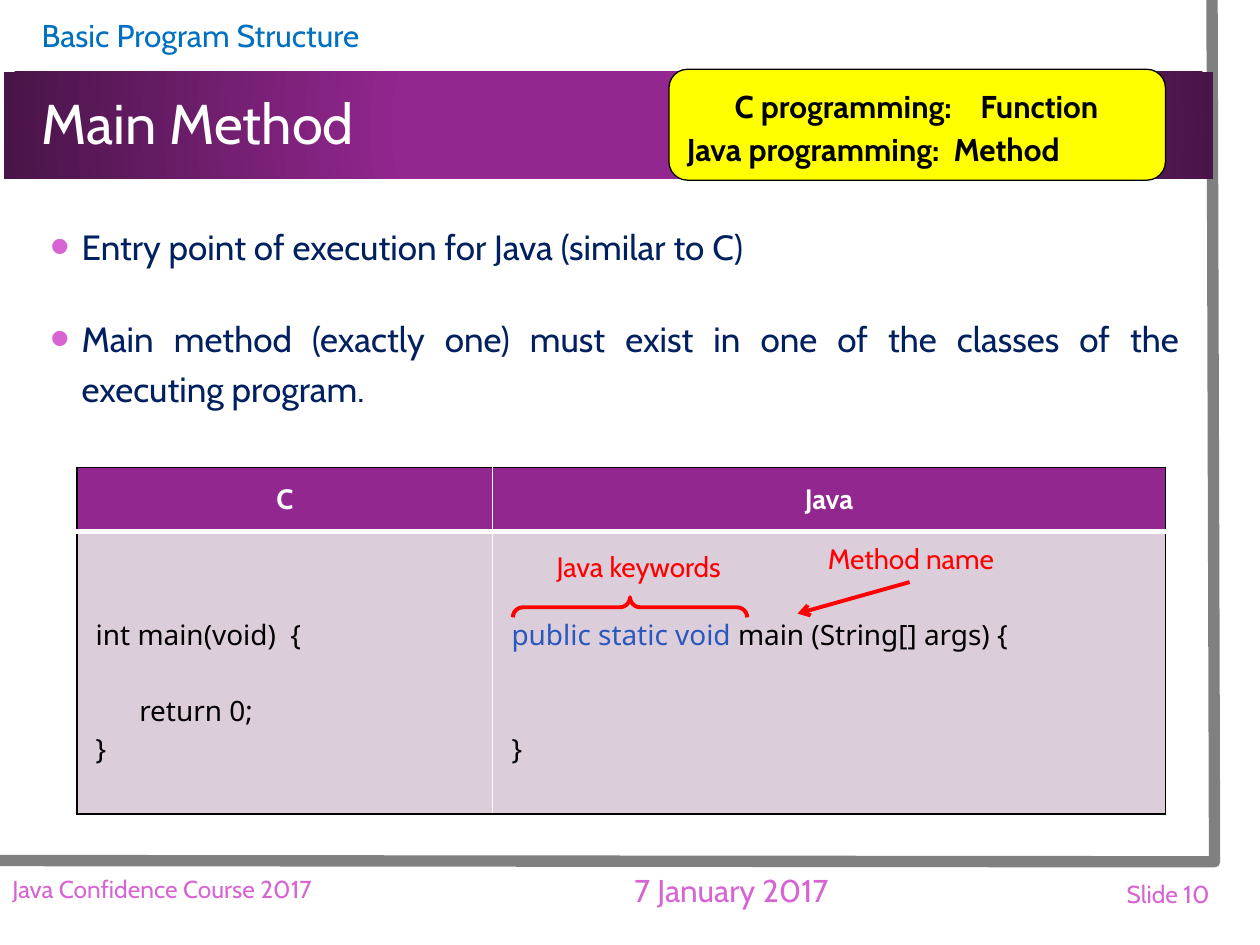
from pptx import Presentation
from pptx.dml.color import RGBColor
from pptx.enum.shapes import MSO_CONNECTOR as Connector, MSO_SHAPE as Shape
from pptx.enum.text import MSO_ANCHOR as Anchor, PP_ALIGN as Align
from pptx.oxml import parse_xml
from pptx.oxml.ns import nsdecls
from pptx.util import Inches, Pt

WHITE = RGBColor(0xFF, 0xFF, 0xFF)
BLACK = RGBColor(0, 0, 0)
GRAY = RGBColor(0x80, 0x80, 0x80)
PURPLE = RGBColor(0x92, 0x27, 0x8F)
DARK_PURPLE = RGBColor(0x49, 0x14, 0x47)
PINK = RGBColor(0xD6, 0x65, 0xD3)
LILAC = RGBColor(0xDC, 0xCD, 0xDB)
SKY = RGBColor(0x00, 0x70, 0xC0)
NAVY = RGBColor(0x00, 0x20, 0x60)
KEYWORD = RGBColor(0x29, 0x58, 0xBE)
RED = RGBColor(0xFF, 0, 0)
YELLOW = RGBColor(0xFF, 0xFF, 0)

HEADING_FONT = "Cabin"
CODE_FONT = "Noto Sans"
CODE_LINE = 21.8  # height of one 16-point code line, in points


def xml(markup):
    tag, rest = markup[1:].split(">", 1) if markup.endswith(f"</{markup[1:].split()[0].split('>')[0]}>") \
        else (markup[1:-2], None)
    opening = f"<{tag} {nsdecls('a')}"
    return parse_xml(f"{opening}/>" if rest is None else f"{opening}>{rest}")


def style(font, size, color, name=HEADING_FONT, bold=False):
    font.size, font.name, font.bold = Pt(size), name, bold
    font.color.rgb = color


def add_text(page, at, text, size, color, align=Align.LEFT, anchor=Anchor.MIDDLE, left=0.1):
    box = page.shapes.add_textbox(*map(Inches, at))
    frame = box.text_frame
    frame.word_wrap = True
    frame.vertical_anchor = anchor
    frame.margin_left = Inches(left)
    frame.text = text
    for para in frame.paragraphs:
        para.alignment = align
        for span in para.runs:
            style(span.font, size, color)
    return frame


def add_shape(page, kind, at, fill=None, line=None, width=1):
    shape = page.shapes.add_shape(kind, *map(Inches, at))
    shape.shadow.inherit = False
    if fill is None:
        shape.fill.background()
    else:
        shape.fill.solid()
        shape.fill.fore_color.rgb = fill
    if line is None:
        shape.line.fill.background()
    else:
        shape.line.color.rgb = line
        shape.line.width = Pt(width)
    return shape


def add_frame(page):
    add_shape(page, Shape.RECTANGLE, (0.03, 0, 9.83, 7.27), WHITE)
    builder = page.shapes.build_freeform(Inches(9.62), 0)
    builder.add_line_segments([(Inches(9.64), Inches(6.84)), (Inches(-0.02), Inches(6.83))], close=False)
    border = builder.convert_to_shape()
    border.shadow.inherit = False
    border.fill.background()
    border.line.color.rgb = GRAY
    border.line.width = Pt(6.5)


def add_band(page):
    band = add_shape(page, Shape.RECTANGLE, (0.03, 0.57, 9.6, 0.85), PURPLE)
    band.fill.gradient()
    for stop, position, color in zip(band.fill.gradient_stops, (0.34, 1), (PURPLE, DARK_PURPLE)):
        stop.position = position
        stop.color.rgb = color
    # Make the gradient radiate from the centre
    gradient = band.element.spPr.find(".//{*}gradFill")
    gradient.replace(gradient.find("{*}lin"), xml(
        '<a:path path="circle"><a:fillToRect l="50000" t="50000" r="50000" b="50000"/></a:path>'))


def add_bullets(page, lines):
    frame = add_text(page, (0.3, 1.67, 9.16, 5.02), "\n".join(lines), 20, NAVY,
                     Align.JUSTIFY, Anchor.TOP)
    for index, para in enumerate(frame.paragraphs):
        props = para._p.get_or_add_pPr()
        props.set("marL", str(Inches(0.25)))
        props.set("indent", str(Inches(-0.25)))
        props.append(xml(f'<a:buClr><a:srgbClr val="{PINK}"/></a:buClr>'))
        props.append(xml('<a:buSzPct val="160000"/>'))
        props.append(xml('<a:buFont typeface="Arial"/>'))
        props.append(xml('<a:buChar char="•"/>'))
        para.line_spacing = 1.2
        para.space_before = Pt(24 if index else 0)


def set_borders(cell, row, column):
    middle_rule = 3 if row == 0 else 1
    sides = {
        "L": (WHITE if column else BLACK, 1),
        "R": (BLACK if column else WHITE, 1),
        "T": (WHITE if row else BLACK, 1),
        "B": (BLACK if row else WHITE, middle_rule),
    }
    props = cell._tc.get_or_add_tcPr()
    for side, (color, width) in sides.items():
        props.append(xml(f'<a:ln{side} w="{Pt(width)}"><a:solidFill>'
                         f'<a:srgbClr val="{color}"/></a:solidFill></a:ln{side}>'))


def fill_code(cell, lines):
    """Each line is (blank lines above, [(text, color), ...])."""
    frame = cell.text_frame
    cell.margin_left = cell.margin_right = cell.margin_bottom = Inches(0.15)
    cell.margin_top = Inches(0.15 + CODE_LINE / 72)
    for index, (gap, parts) in enumerate(lines):
        para = frame.add_paragraph() if index else frame.paragraphs[0]
        para.space_before = Pt(gap * CODE_LINE)
        for text, color in parts:
            span = para.add_run()
            span.text = text
            style(span.font, 16, color, CODE_FONT)


def add_comparison(page):
    table = page.shapes.add_table(2, 2, *map(Inches, (0.61, 3.71, 8.64, 2.75))).table
    for column, width in zip(table.columns, (3.3, 5.34)):
        column.width = Inches(width)
    for row, height in zip(table.rows, (0.51, 2.24)):
        row.height = Inches(height)
    code = (
        [(0, [("int main(void)  {", BLACK)]), (1, [("      return 0;", BLACK)]), (0, [("}", BLACK)])],
        [(0, [("public static void ", KEYWORD), ("main (String[] args) {", BLACK)]),
         (2, [("}", BLACK)])],
    )
    for column, language in enumerate(("C", "Java")):
        header, body = table.cell(0, column), table.cell(1, column)
        for row, (cell, color) in enumerate(((header, PURPLE), (body, LILAC))):
            set_borders(cell, row, column)
            cell.fill.solid()
            cell.fill.fore_color.rgb = color
            cell.vertical_anchor = Anchor.MIDDLE
        header.text_frame.text = language
        para = header.text_frame.paragraphs[0]
        para.alignment = Align.CENTER
        style(para.runs[0].font, 16, WHITE, bold=True)
        fill_code(body, code[column])


def add_callout(page):
    callout = add_shape(page, Shape.ROUNDED_RECTANGLE, (5.31, 0.55, 3.94, 0.88), YELLOW, BLACK, 0.75)
    frame = callout.text_frame
    frame.word_wrap = True
    frame.vertical_anchor = Anchor.MIDDLE
    frame.text = "\tC programming:\tFunction\nJava programming:  Method"
    tabs = "".join(f'<a:tab pos="{Inches(stop)}" algn="l"/>' for stop in (0.38, 2.33))
    frame.paragraphs[0]._p.get_or_add_pPr().append(xml(f"<a:tabLst>{tabs}</a:tabLst>"))
    for para in frame.paragraphs:
        para.alignment = Align.LEFT
        para.line_spacing = 1.14
        for span in para.runs:
            style(span.font, 18, BLACK, bold=True)


def add_arrow(page, start, end):
    arrow = page.shapes.add_connector(Connector.STRAIGHT, *map(Inches, start + end))
    arrow.line.color.rgb = RED
    arrow.line.width = Pt(2.25)
    arrow.line._get_or_add_ln().append(xml('<a:tailEnd type="arrow"/>'))
    arrow._element.spPr.append(xml("<a:effectLst/>"))


def main():
    deck = Presentation()
    deck.slide_width, deck.slide_height = Inches(10), Inches(7.5)
    page = deck.slides.add_slide(deck.slide_layouts[6])

    # Frame, heading and footer
    add_frame(page)
    add_band(page)
    add_text(page, (0.03, 0.08, 9.6, 0.4), "Basic Program Structure", 18, SKY, left=0.3)
    title = add_text(page, (0.03, 0.58, 9.6, 0.84), "Main Method", 32, WHITE, left=0.3)
    title.paragraphs[0].line_spacing = 0.9
    add_text(page, (4.23, 6.85, 3.15, 0.43), "7 January 2017", 18, PINK, Align.CENTER)
    add_text(page, (0, 6.85, 4.23, 0.41), "Java Confidence Course 2017", 14, PINK)
    add_text(page, (7.39, 6.86, 2.31, 0.47), "Slide 10", 14, PINK, Align.RIGHT)

    # Content
    add_bullets(page, (
        "Entry point of execution for Java (similar to C)",
        "Main method (exactly one) must exist in one of the classes of the executing program.",
    ))
    add_comparison(page)

    # Annotations
    brace = add_shape(page, Shape.LEFT_BRACE, (4.92, 3.89, 0.16, 1.86), line=RED, width=2.25)
    brace.rotation = 90
    brace.adjustments[0] = 0.51
    for at, label in (((3.99, 4.31, 2.16, 0.37), "Java keywords"),
                      ((6.15, 4.25, 2.16, 0.37), "Method name")):
        add_text(page, at, label, 16, RED, Align.CENTER, Anchor.TOP)
    add_callout(page)
    add_arrow(page, (7.22, 4.62), (6.33, 4.87))

    deck.save("out.pptx")


if __name__ == "__main__":
    main()
